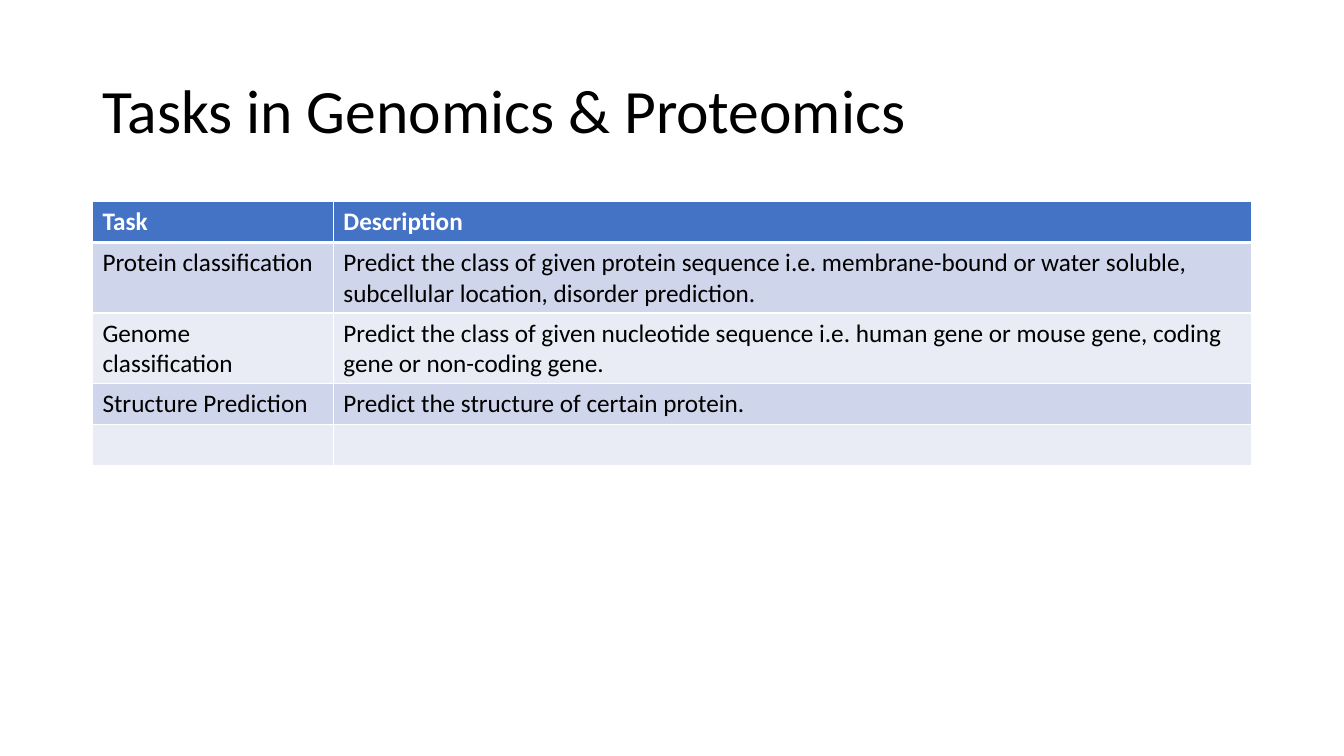
from dataclasses import dataclass

from lxml.etree import SubElement
from pptx import Presentation
from pptx.dml.color import RGBColor
from pptx.enum.text import MSO_ANCHOR
from pptx.oxml.ns import qn
from pptx.util import Cm, Pt


@dataclass(frozen=True)
class Theme:
    """Font, colours and type sizes of the slide."""
    font: str = "Calibri"
    ink: str = "000000"
    paper: str = "FFFFFF"
    header: str = "4472C4"
    bands: tuple = ("CFD5EA", "E9EBF5")
    title_size: int = 44
    body_size: int = 18
    rule: int = 1
    header_rule: int = 3


class SlideBuilder:
    """Adds styled elements to one slide."""

    def __init__(self, slide, theme):
        """Keep the slide and its theme."""
        self.slide = slide
        self.theme = theme

    def style(self, paragraph, size, color, bold=False):
        """Format every run of a paragraph."""
        for run in paragraph.runs:
            run.font.name = self.theme.font
            run.font.size = Pt(size)
            run.font.bold = bold
            run.font.color.rgb = RGBColor.from_string(color)

    def title(self, text, left, top, width, height):
        """Add the vertically centred heading."""
        frame = self.slide.shapes.add_textbox(left, top, width, height).text_frame
        frame.word_wrap = True
        frame.vertical_anchor = MSO_ANCHOR.MIDDLE
        frame.text = text
        heading = frame.paragraphs[0]
        heading.line_spacing = 0.9
        self.style(heading, self.theme.title_size, self.theme.ink)

    def border(self, cell, side, width):
        """Draw one cell edge in the paper colour."""
        edge = SubElement(cell._tc.get_or_add_tcPr(), qn(f"a:{side}"), w=str(Pt(width)))
        fill = SubElement(edge, qn("a:solidFill"))
        SubElement(fill, qn("a:srgbClr"), val=self.theme.paper)

    def cell(self, cell, text, row):
        """Fill, frame and write one cell according to its row."""
        theme = self.theme
        is_header = row == 0
        top = theme.header_rule if row == 1 else theme.rule
        bottom = theme.header_rule if is_header else theme.rule
        for side, width in (("lnL", theme.rule), ("lnR", theme.rule),
                            ("lnT", top), ("lnB", bottom)):
            self.border(cell, side, width)
        cell.fill.solid()
        band = theme.header if is_header else theme.bands[(row - 1) % 2]
        cell.fill.fore_color.rgb = RGBColor.from_string(band)
        paragraph = cell.text_frame.paragraphs[0]
        paragraph.font.size = Pt(theme.body_size)
        if text:
            paragraph.text = text
            self.style(paragraph, theme.body_size,
                       theme.paper if is_header else theme.ink, is_header)

    def table(self, rows, left, top, column_widths, row_height):
        """Add a banded table with a header row."""
        grid = self.slide.shapes.add_table(
            len(rows), len(column_widths), left, top,
            sum(column_widths), row_height * len(rows)).table
        for column, width in zip(grid.columns, column_widths):
            column.width = width
        for row, texts in enumerate(rows):
            for column, text in enumerate(texts):
                self.cell(grid.cell(row, column), text, row)


TASKS = [
    ("Task", "Description"),
    ("Protein classification",
     "Predict the class of given protein sequence i.e. membrane-bound or "
     "water soluble, subcellular location, disorder prediction."),
    ("Genome classification",
     "Predict the class of given nucleotide sequence i.e. human gene or "
     "mouse gene, coding gene or non-coding gene."),
    ("Structure Prediction", "Predict the structure of certain protein."),
    ("", ""),
]


def main():
    """Build and save the slide."""
    deck = Presentation()
    deck.slide_width, deck.slide_height = Cm(33.87), Cm(19.05)
    builder = SlideBuilder(deck.slides.add_slide(deck.slide_layouts[6]), Theme())
    margin = Cm(2.33)
    builder.title("Tasks in Genomics & Proteomics", margin, Cm(1.01), Cm(29.21), Cm(3.68))
    builder.table(TASKS, margin, Cm(5.08), (Cm(6.07), Cm(23.14)), Cm(1.03))
    deck.save("out.pptx")


main()
